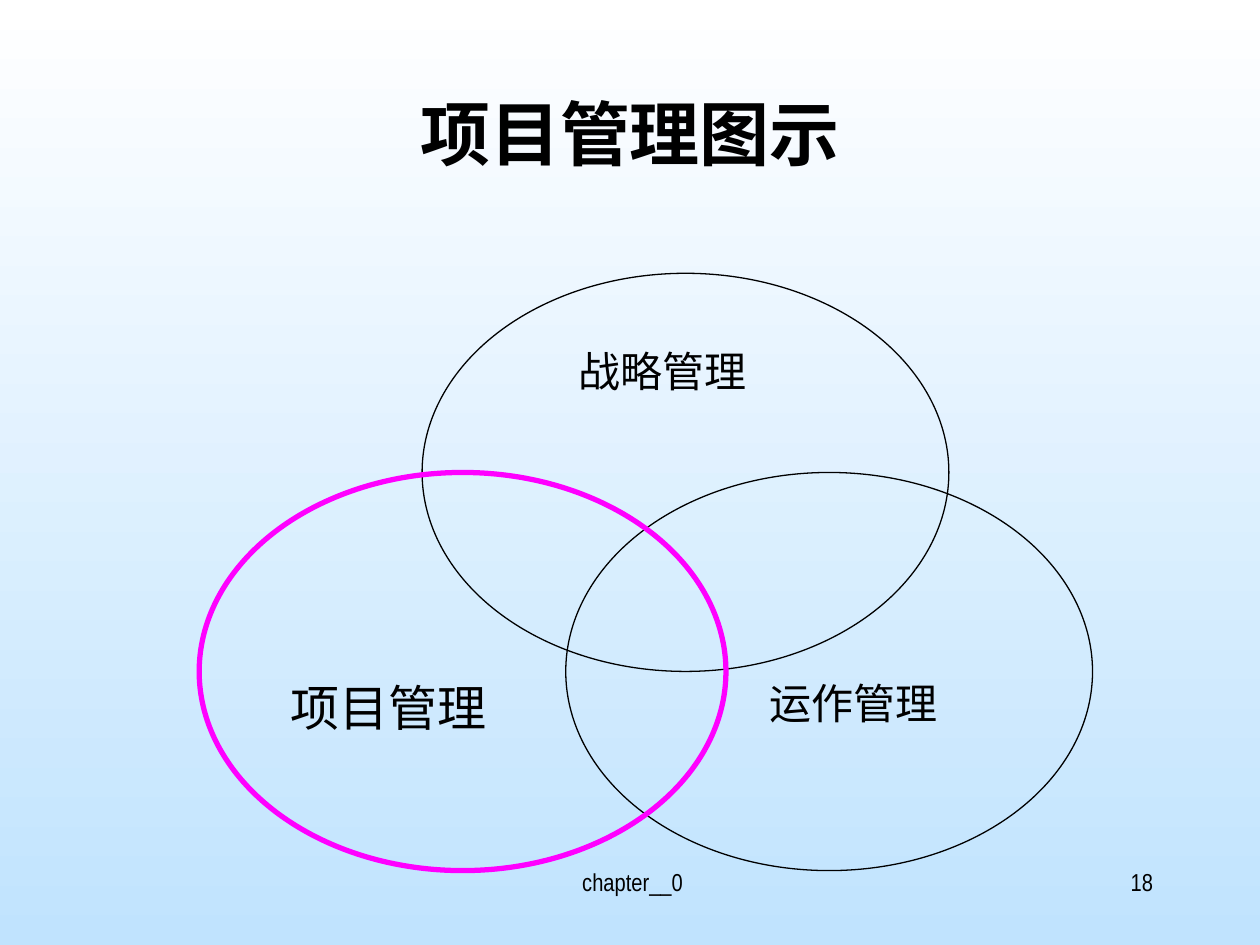
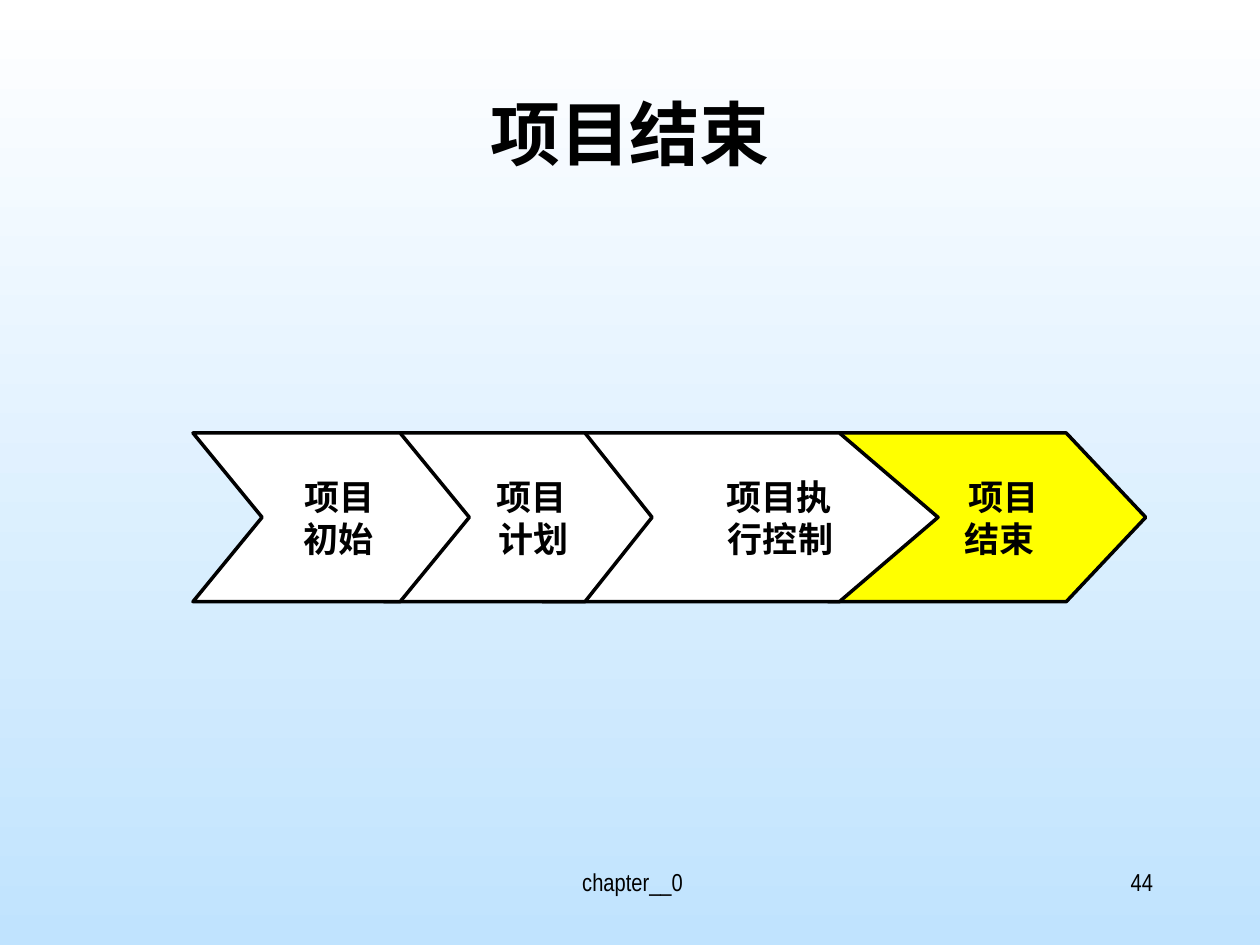
import dataclasses

import pptx
import pptx.dml.color
import pptx.enum.shapes
import pptx.enum.text
import pptx.util

Pt = pptx.util.Pt
RGB = pptx.dml.color.RGBColor.from_string
ALIGN = pptx.enum.text.PP_ALIGN
ANCHOR = pptx.enum.text.MSO_ANCHOR


@dataclasses.dataclass(frozen=True)
class Theme:
    ink: str = "000000"
    paper: str = "FFFFFF"
    sky: str = "C0E3FE"
    focus_line: str = "FF00FF"
    focus_fill: str = "FFFF00"
    title_font: str = "Noto Sans CJK SC"
    label_font: str = "Times New Roman"
    small_font: str = "Arial Narrow"
    title_size: float = 40
    focus_size: float = 28
    label_size: float = 24
    stage_size: float = 20
    footer_size: float = 14
    thin: float = 0.75
    medium: float = 2
    thick: float = 3


class Deck:
    """Holds the theme and the slide being built."""

    def __init__(self, theme):
        self.theme = theme
        self.presentation = pptx.Presentation()
        self.presentation.slide_width = Pt(720)
        self.presentation.slide_height = Pt(540)
        self.slide = None

    def add_slide(self, title, number):
        theme = self.theme
        self.slide = self.presentation.slides.add_slide(self.presentation.slide_layouts[6])
        # Background
        fill = self.slide.background.fill
        fill.gradient()
        fill.gradient_angle = 270
        for stop, color, position in zip(fill.gradient_stops, (theme.paper, theme.sky), (0, 1)):
            stop.color.rgb = RGB(color)
            stop.position = position
        # Footer and title
        footer = {"name": theme.small_font, "size": Pt(theme.footer_size)}
        self.text((246, 492, 228, 36), "chapter__0", footer, ALIGN.CENTER, indent=3)
        self.text((516, 492, 150, 36), number, footer, ALIGN.RIGHT)
        self.text((54, 48, 612, 90), title,
                  {"name": theme.title_font, "size": Pt(theme.title_size), "bold": True},
                  ALIGN.CENTER)

    def text(self, box, words, font, alignment=ALIGN.LEFT, indent=0):
        shape = self.slide.shapes.add_textbox(*map(Pt, box))
        self.fill_text(shape, [(words, indent)], font, alignment, ANCHOR.TOP)

    def fill_text(self, shape, lines, font, alignment, anchor):
        """Fill a shape with (words, left indent) lines."""
        frame = shape.text_frame
        frame.word_wrap = True
        frame.vertical_anchor = anchor
        for index, (words, indent) in enumerate(lines):
            paragraph = frame.add_paragraph() if index else frame.paragraphs[0]
            paragraph.alignment = alignment
            if indent:
                paragraph._p.get_or_add_pPr().set("marL", str(Pt(indent)))
            run = paragraph.add_run()
            run.text = words
            run.font.color.rgb = RGB(self.theme.ink)
            for key, value in font.items():
                setattr(run.font, key, value)

    def outline(self, shape, color, width, fill=None):
        shape.shadow.inherit = False
        if fill:
            shape.fill.solid()
            shape.fill.fore_color.rgb = RGB(fill)
        else:
            shape.fill.background()
        shape.line.color.rgb = RGB(color)
        shape.line.width = Pt(width)

    def ellipse(self, left, top, width, height, color, line_width):
        shape = self.slide.shapes.add_shape(
            pptx.enum.shapes.MSO_SHAPE.OVAL, *map(Pt, (left, top, width, height)))
        self.outline(shape, color, line_width)

    def chevron(self, group, box, depth, lines, fill):
        left, top, width, height = box
        right, middle, bottom = left + width, top + height / 2, top + height
        points = [(left, top), (right - depth, top), (right, middle),
                  (right - depth, bottom), (left, bottom), (left + depth, middle)]
        start, *others = [(Pt(x), Pt(y)) for x, y in points]
        builder = group.shapes.build_freeform(*start)
        builder.add_line_segments(others, close=True)
        shape = builder.convert_to_shape()
        self.outline(shape, self.theme.ink, self.theme.medium, fill)
        font = {"name": self.theme.small_font, "size": Pt(self.theme.stage_size), "bold": True}
        self.fill_text(shape, lines, font, ALIGN.CENTER, ANCHOR.MIDDLE)


def build_circles(deck):
    theme = deck.theme
    deck.add_slide("项目管理图示", "18")
    # Overlapping fields
    size = (301, 227.5)
    project = (113.8, 270)
    for place in ((241.2, 156.2), project, (323.3, 270)):
        deck.ellipse(*place, *size, theme.ink, theme.thin)
    # Field names
    for left, top, words, points in (
        (323.3, 193.7, "战略管理", theme.label_size),
        (159.1, 383.8, "项目管理", theme.focus_size),
        (432.7, 383.8, "运作管理", theme.label_size),
    ):
        deck.text((left, top, 164, 57), words, {"name": theme.label_font, "size": Pt(points)})
    # Highlighted field
    deck.ellipse(*project, *size, theme.focus_line, theme.thick)


def build_stages(deck):
    theme = deck.theme
    deck.add_slide("项目结束", "44")
    # Stages: left, width, point depth, lines with indents, fill; later ones lie behind
    stages = [
        (110.3, 157.9, 39.5, [("项目", 10), ("初始", 9)], theme.paper),
        (219.4, 153.2, 38.3, [("项目", 16), ("计划", 18)], theme.paper),
        (310, 226, 56.3, [("项目执", 44), ("行控制", 46)], theme.paper),
        (473.2, 181.5, 45.4, [("项目", 19), ("结束", 14)], theme.focus_fill),
    ]
    group = deck.slide.shapes.add_group_shape()
    for left, width, depth, lines, fill in reversed(stages):
        deck.chevron(group, (left, 247.4, width, 96.4), depth, lines, fill)


def main():
    deck = Deck(Theme())
    build_circles(deck)
    build_stages(deck)
    deck.presentation.save("out.pptx")


if __name__ == "__main__":
    main()
